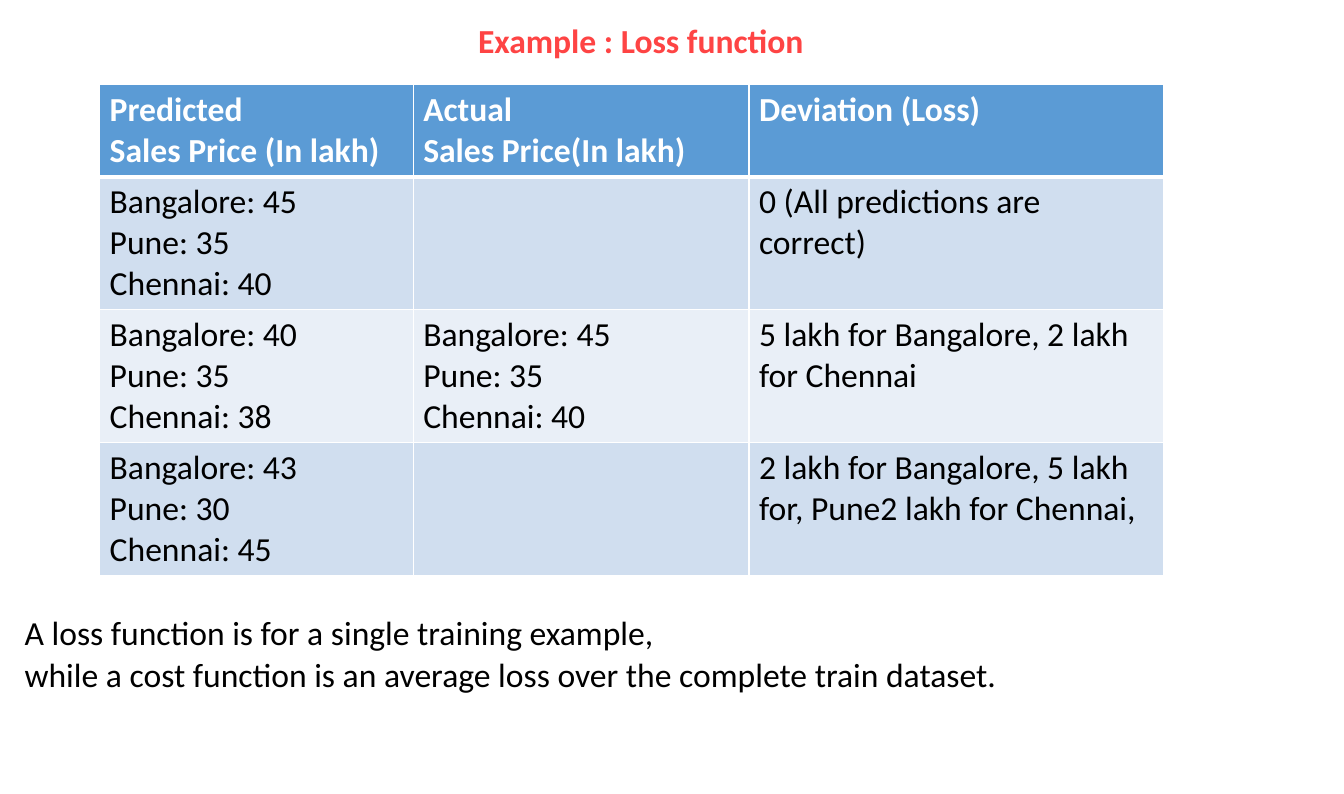
from lxml.etree import SubElement
from pptx import Presentation
from pptx.dml.color import RGBColor
from pptx.enum.text import MSO_ANCHOR, PP_ALIGN
from pptx.oxml.ns import qn
from pptx.util import Cm, Pt

RED = RGBColor(0xFE, 0x44, 0x44)
BLACK = RGBColor(0, 0, 0)
WHITE = RGBColor(255, 255, 255)
BLUE = RGBColor(0x5B, 0x9B, 0xD5)
PALE = RGBColor(0xD0, 0xDE, 0xEF)
LIGHT = RGBColor(0xE9, 0xEF, 0xF7)

TITLE = ["Example : Loss function"]
NOTES = [
    "A loss function is for a single training example,",
    "while a cost function is an average loss over the complete train dataset.",
]
HEADS = [
    ["Predicted", "Sales Price (In lakh)"],
    ["Actual", "Sales Price(In lakh)"],
    ["Deviation (Loss)"],
]
# Prices are listed as Bangalore, Pune, Chennai.
CASES = [
    ((45, 35, 40), None, "0 (All predictions are correct)"),
    ((40, 35, 38), (45, 35, 40), "5 lakh for Bangalore, 2 lakh for Chennai"),
    ((43, 30, 45), None,
     "2 lakh for Bangalore, 5 lakh for, Pune2 lakh for Chennai,"),
]
WIDTHS = [7.9, 8.46, 10.44]
HEIGHTS = [2.32, 3.35, 3.35, 3.35]


def write(frame, lines, color, bold=False, align=PP_ALIGN.LEFT, before=0):
    """Put each line in its own paragraph of the frame."""
    for i, line in enumerate(lines):
        para = frame.add_paragraph() if i else frame.paragraphs[0]
        para.alignment = align
        para.space_before = Pt(before)
        run = para.add_run()
        run.text = line
        font = run.font
        font.name, font.size, font.bold = "Calibri", Pt(24), bold
        font.color.rgb = color


def add_text(slide, left, top, width, height, lines, color, **style):
    frame = slide.shapes.add_textbox(
        Cm(left), Cm(top), Cm(width), Cm(height)).text_frame
    frame.word_wrap = True
    frame.vertical_anchor = MSO_ANCHOR.MIDDLE
    frame.margin_left = frame.margin_right = Cm(0.16)
    frame.margin_top = frame.margin_bottom = Cm(0.08)
    write(frame, lines, color, **style)


def add_edges(cell, base):
    """Draw white cell borders, with the bottom one base points wide."""
    props = cell._tc.get_or_add_tcPr()
    for side, width in (("L", 1), ("R", 1), ("T", 1), ("B", base)):
        line = SubElement(props, qn(f"a:ln{side}"), w=str(Pt(width)))
        fill = SubElement(line, qn("a:solidFill"))
        SubElement(fill, qn("a:srgbClr"), val=str(WHITE))


def fill_cell(cell, lines, back, head):
    add_edges(cell, 3 if head else 1)
    cell.fill.solid()
    cell.fill.fore_color.rgb = back
    write(cell.text_frame, lines, WHITE if head else BLACK, bold=head)


def list_prices(prices):
    if prices is None:
        return []
    towns = ("Bangalore", "Pune", "Chennai")
    return [f"{town}: {price}" for town, price in zip(towns, prices)]


def add_losses(slide):
    rows = [HEADS] + [[list_prices(guess), list_prices(real), [loss]]
                      for guess, real, loss in CASES]
    table = slide.shapes.add_table(
        len(rows), len(WIDTHS), Cm(2.51), Cm(2.13),
        Cm(sum(WIDTHS)), Cm(sum(HEIGHTS))).table
    for col, width in zip(table.columns, WIDTHS):
        col.width = Cm(width)
    for r, (row, height) in enumerate(zip(rows, HEIGHTS)):
        table.rows[r].height = Cm(height)
        back = BLUE if r == 0 else PALE if r % 2 else LIGHT
        for c, lines in enumerate(row):
            fill_cell(table.cell(r, c), lines, back, r == 0)


def main():
    deck = Presentation()
    deck.slide_width, deck.slide_height = Cm(33.86), Cm(20)
    slide = deck.slides.add_slide(deck.slide_layouts[6])
    add_text(slide, 7.42, 0.43, 17.45, 1.17, TITLE, RED,
             bold=True, align=PP_ALIGN.CENTER)
    add_text(slide, 0.46, 15.3, 32.99, 2.3, NOTES, BLACK, before=1)
    add_losses(slide)
    deck.save("out.pptx")


if __name__ == "__main__":
    main()
